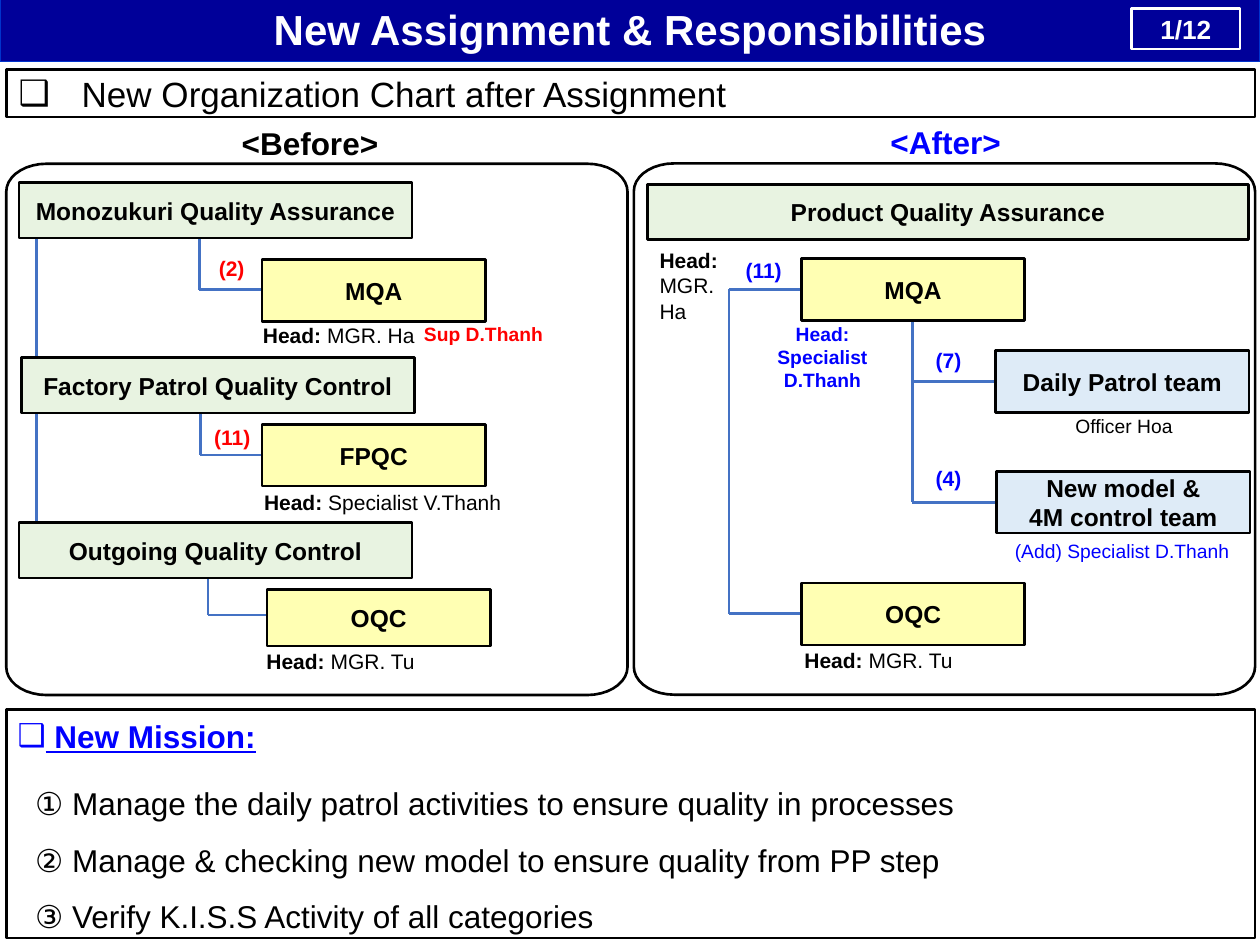
from math import cos, pi, sin

from lxml.etree import SubElement
from pptx import Presentation
from pptx.dml.color import RGBColor
from pptx.enum.shapes import MSO_CONNECTOR as CONN, MSO_SHAPE as SHAPE
from pptx.enum.text import MSO_ANCHOR as ANCHOR, PP_ALIGN as ALIGN
from pptx.oxml.ns import qn
from pptx.util import Pt

BLACK = RGBColor(0x00, 0x00, 0x00)
WHITE = RGBColor(0xFF, 0xFF, 0xFF)
NAVY = RGBColor(0x00, 0x00, 0x99)
ROYAL = RGBColor(0x00, 0x33, 0xCC)
BLUE = RGBColor(0x00, 0x00, 0xFF)
RED = RGBColor(0xFF, 0x00, 0x00)
STEEL = RGBColor(0x44, 0x72, 0xC4)
GREEN = RGBColor(0xE8, 0xF3, 0xE1)
YELLOW = RGBColor(0xFF, 0xFF, 0xB3)
PALE = RGBColor(0xDE, 0xEB, 0xF7)


def add_run(p, text, size, color=BLACK, bold=False, underline=False):
    """Append one Arial run to a paragraph."""
    r = p.add_run()
    r.text = text
    f = r.font
    f.name, f.size, f.bold, f.underline = "Arial", Pt(size), bold, underline
    f.color.rgb = color


def set_indent(p, left, first=0, bullet=None):
    """Indent a paragraph and give it an optional bullet."""
    pPr = p._p.get_or_add_pPr()
    pPr.set("marL", str(Pt(left)))
    pPr.set("indent", str(Pt(first)))
    if bullet:
        SubElement(pPr, qn("a:buFont")).set("typeface", "Arial")
        SubElement(pPr, qn("a:buChar")).set("char", bullet)


def paint(sp, fill=None, line=None, width=1.5):
    """Set fill and outline and drop the shadow."""
    sp.shadow.inherit = False
    if fill is None:
        sp.fill.background()
    else:
        sp.fill.solid()
        sp.fill.fore_color.rgb = fill
    if line is None:
        sp.line.fill.background()
    else:
        sp.line.color.rgb = line
        sp.line.width = Pt(width)


def add_box(s, x, y, w, h, lines=(), size=14, color=BLACK, bold=True,
            fill=None, line=BLACK, width=1.5, align=ALIGN.CENTER):
    """Draw a rectangle with one paragraph for each line of text."""
    sp = s.shapes.add_shape(SHAPE.RECTANGLE, Pt(x), Pt(y), Pt(w), Pt(h))
    paint(sp, fill, line, width)
    tf = sp.text_frame
    tf.word_wrap = True
    tf.vertical_anchor = ANCHOR.MIDDLE
    tf.margin_left = tf.margin_right = Pt(5)
    tf.margin_top = tf.margin_bottom = Pt(3)
    for i, text in enumerate(lines):
        p = tf.paragraphs[0] if i == 0 else tf.add_paragraph()
        p.alignment = align
        add_run(p, text, size, color, bold)
    return sp


def add_panel(s, x, y, w, h, rx=23, ry=16, steps=9):
    """Draw an outline with elliptical corners."""
    corners = [(x + rx, y + ry), (x + w - rx, y + ry),
               (x + w - rx, y + h - ry), (x + rx, y + h - ry)]
    points = []
    for k, (cx, cy) in enumerate(corners):
        for i in range(steps + 1):
            a = pi + (k + i / steps) * pi / 2
            points.append((Pt(cx + rx * cos(a)), Pt(cy + ry * sin(a))))
    fb = s.shapes.build_freeform(*points[0])
    fb.add_line_segments(points[1:], close=True)
    paint(fb.convert_to_shape(), line=BLACK)


def add_wire(s, x1, y1, x2, y2):
    """Draw a straight connecting line."""
    c = s.shapes.add_connector(CONN.STRAIGHT, Pt(x1), Pt(y1), Pt(x2), Pt(y2))
    c.line.color.rgb = STEEL
    c.line.width = Pt(1.5)
    SubElement(c._element.spPr, qn("a:effectLst"))


def add_text(s, x, y, w, h, *paragraphs, align=ALIGN.LEFT):
    """Add a text box from paragraphs, each a list of runs."""
    tf = s.shapes.add_textbox(Pt(x), Pt(y), Pt(w), Pt(h)).text_frame
    tf.word_wrap = True
    for i, runs in enumerate(paragraphs):
        p = tf.paragraphs[0] if i == 0 else tf.add_paragraph()
        p.alignment = align
        for run in runs:
            add_run(p, *run)
    return tf


def add_head(s, x, y, w, name, h=24):
    """Add a caption naming the head of a team."""
    add_text(s, x, y, w, h, [("Head: ", 12, BLACK, True), (name, 12)])


def add_count(s, x, y, text, color):
    """Add a headcount label."""
    add_text(s, x, y, 36, 24, [(text, 12, color, True)])


def add_header(s):
    """Draw the title bar, page number, heading and column titles."""
    title = add_box(s, 0, -2.2, 720, 37.4, ["New Assignment & Responsibilities"],
                    24, WHITE, fill=NAVY, line=ROYAL, width=0.75)
    title.text_frame.word_wrap = False
    add_box(s, 646.6, 5, 62, 23, ["1/12"], 15, WHITE, line=WHITE)
    heading = add_box(s, 3.6, 39.6, 713.5, 27.2,
                      ["New Organization Chart after Assignment"],
                      20, bold=False, align=ALIGN.LEFT)
    heading.text_frame.margin_left = Pt(7.2)
    set_indent(heading.text_frame.paragraphs[0], 36, -36, "❑")
    add_box(s, 125.3, 68.8, 103.7, 25.2, ["<Before>"], 18, line=None)
    add_box(s, 497.5, 68.4, 85.7, 25.2, ["<After>"], 18, BLUE, line=None)


def add_before(s):
    """Draw the organization before the assignment."""
    add_panel(s, 3.6, 93.6, 355, 303.6)
    add_wire(s, 20.9, 136, 20.9, 298.4)
    for x, top, y, right in ((114, 135.6, 165.6, 150), (114.5, 234, 260, 150),
                             (118.8, 329, 351.4, 152.6)):
        add_wire(s, x, top, x, y)
        add_wire(s, x, y, right, y)
    for x, y, name in ((10.8, 104.4, "Monozukuri Quality Assurance"),
                       (12.2, 204.3, "Factory Patrol Quality Control"),
                       (10.8, 298.6, "Outgoing Quality Control")):
        add_box(s, x, y, 224.8, 31.7, [name], fill=GREEN)
    for x, y, h, name in ((149.8, 148.3, 35.3, "MQA"), (149.8, 242.5, 35.3, "FPQC"),
                          (152.6, 336.8, 32.4, "OQC")):
        add_box(s, x, y, 127.6, h, [name], fill=YELLOW)
    add_count(s, 118, 142.4, "(2)", RED)
    add_count(s, 115.3, 238.8, "(11)", RED)
    add_head(s, 143.2, 180.6, 117.4, "MGR. Ha")
    add_head(s, 143.8, 276.2, 157, "Specialist V.Thanh")
    add_head(s, 145.2, 367, 117.4, "MGR. Tu")
    add_text(s, 235.2, 180.8, 104.4, 22.3, [("Sup D.Thanh", 11, RED, True)])


def add_after(s):
    """Draw the organization after the assignment."""
    add_panel(s, 362.2, 93.4, 355, 303.6)
    for x, top, bottom, right, branches in (
            (416.6, 165.4, 350.6, 458, (165.4, 350.6)),
            (521.4, 182, 287, 569, (218, 287))):
        add_wire(s, x, top, x, bottom)
        for y in branches:
            add_wire(s, x, y, right, y)
    add_box(s, 370, 105.4, 343.4, 31.7, ["Product Quality Assurance"], fill=GREEN)
    for y, name in ((147.7, "MQA"), (333.2, "OQC")):
        add_box(s, 458, y, 127.6, 35.3, [name], fill=YELLOW)
    for x, y, lines in ((569, 200.3, ["Daily Patrol team"]),
                        (569.6, 269.4, ["New model &", "4M control team"])):
        add_box(s, x, y, 144.7, 35.3, lines, fill=PALE)
    add_count(s, 419, 143.4, "(11)", BLUE)
    add_count(s, 527.6, 194.8, "(7)", BLUE)
    add_count(s, 527.6, 262.4, "(4)", BLUE)
    add_head(s, 369.8, 138, 62.6, "MGR. Ha", 55.4)
    add_head(s, 452.6, 366.6, 117.4, "MGR. Tu")
    add_text(s, 414, 180.6, 112, 37.4, [("Head:", 11, BLUE, True)],
             [("Specialist D.Thanh", 11, BLUE, True)], align=ALIGN.CENTER)
    add_text(s, 607.4, 233.4, 75.6, 22.3, [("Officer Hoa", 11)])
    add_text(s, 569.6, 304.4, 143.3, 22.3, [("(Add) Specialist D.Thanh", 11, BLUE)],
             align=ALIGN.CENTER)


def add_mission(s):
    """Draw the mission frame and its list."""
    add_box(s, 3.6, 405.4, 713.5, 130.6)
    missions = ("① Manage the daily patrol activities to ensure quality in processes",
                "② Manage & checking new model to ensure quality from PP step",
                "③ Verify K.I.S.S Activity of all categories")
    tf = add_text(s, 3, 406, 713.5, 129.6, [(" New Mission:", 18, BLUE, True, True)],
                  *[[(m, 18)] for m in missions])
    title, *items = tf.paragraphs
    set_indent(title, 0, 0, "❑")
    for p in items:
        set_indent(p, 10)
        p.line_spacing = 1.5
    items[0].space_before = Pt(6)


def main():
    """Build the slide and save it."""
    prs = Presentation()
    prs.slide_width, prs.slide_height = Pt(720), Pt(540)
    s = prs.slides.add_slide(prs.slide_layouts[6])
    add_header(s)
    add_before(s)
    add_after(s)
    add_mission(s)
    prs.save("out.pptx")


if __name__ == "__main__":
    main()
